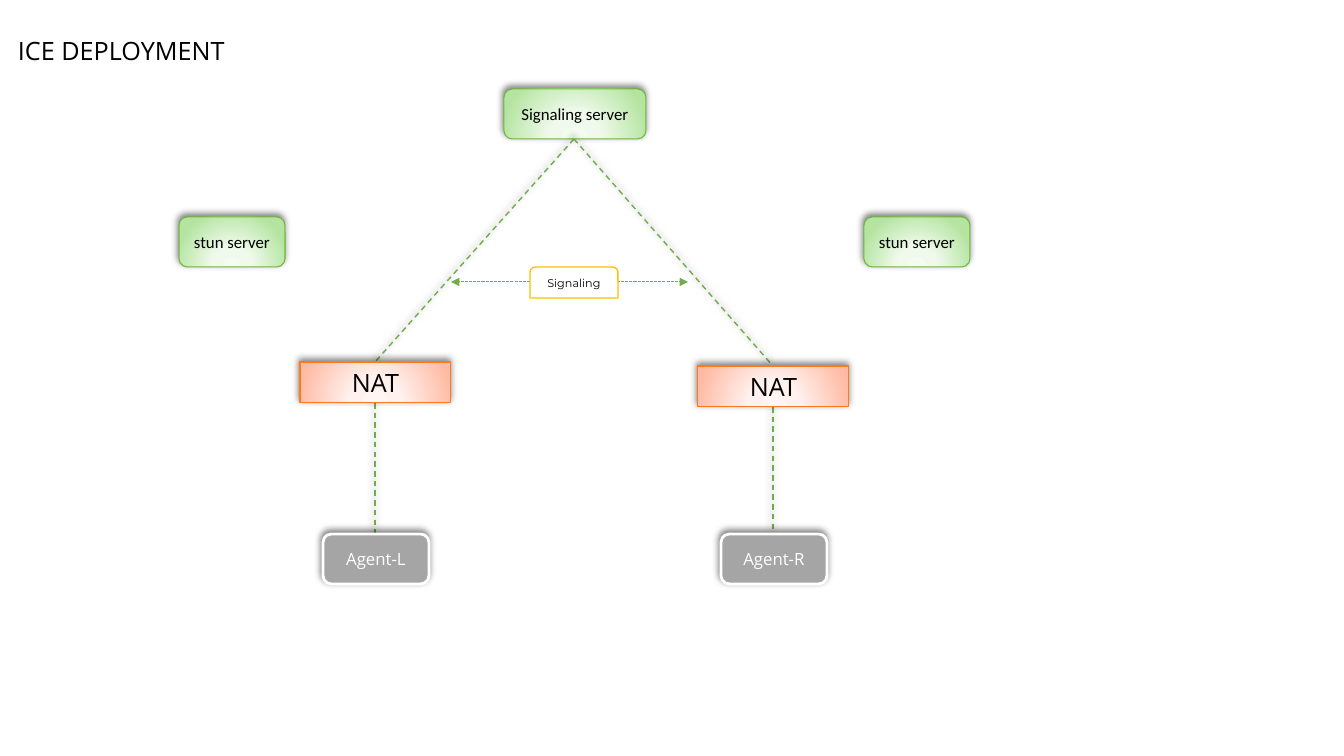
from lxml import etree
from pptx import Presentation
from pptx.dml.color import RGBColor
from pptx.enum.dml import MSO_LINE
from pptx.enum.shapes import MSO_CONNECTOR, MSO_SHAPE
from pptx.enum.text import MSO_ANCHOR, MSO_AUTO_SIZE, PP_ALIGN
from pptx.oxml import parse_xml
from pptx.oxml.ns import nsdecls, qn
from pptx.util import Pt

EMU_PER_PX = 914400 / 100.8

BLACK = RGBColor(0x00, 0x00, 0x00)
WHITE = RGBColor(0xFF, 0xFF, 0xFF)
GRAY = RGBColor(0xA5, 0xA5, 0xA5)
AMBER = RGBColor(0xFF, 0xC0, 0x00)
LINK_GREEN = RGBColor(0x70, 0xAD, 0x47)
SERVER_EDGE = RGBColor(0x6E, 0xB7, 0x3D)
NAT_EDGE = RGBColor(0xFF, 0x7A, 0x1F)
SERVER_GLOW = (RGBColor(0xF3, 0xFC, 0xF0), RGBColor(0xF0, 0xFA, 0xEC), RGBColor(0xB4, 0xE4, 0xA0))
NAT_GLOW = (RGBColor(0xFF, 0xF5, 0xF2), RGBColor(0xFF, 0xF1, 0xED), RGBColor(0xFF, 0xBA, 0xA3))


def px(value):
    return round(value * EMU_PER_PX)


class Diagram:
    """Holds the current slide and the shared styling."""

    body_font = "Open Sans"

    def __init__(self, prs):
        self.slide = prs.slides.add_slide(prs.slide_layouts[6])

    def add_label(self, frame, text, size, color, font):
        run = frame.paragraphs[0].add_run()
        run.text = text
        run.font.size = Pt(size)
        run.font.name = font or self.body_font
        run.font.color.rgb = color

    def effects(self, properties, shadow):
        """Replace the theme shadow with a soft one, or with none."""
        effects = properties.find(qn("a:effectLst"))
        if effects is None:
            effects = etree.SubElement(properties, qn("a:effectLst"))
        if shadow:
            effects.append(parse_xml(
                f'<a:outerShdw {nsdecls("a")} blurRad="{Pt(5)}" dist="{Pt(2)}" dir="14700000" '
                'algn="ctr" rotWithShape="0"><a:srgbClr val="000000">'
                '<a:alpha val="50000"/></a:srgbClr></a:outerShdw>'))

    def glow(self, shape, colors):
        """Radial gradient centred below the shape."""
        stops = "".join(f'<a:gs pos="{pos}"><a:srgbClr val="{color}"/></a:gs>'
                        for pos, color in zip((0, 34000, 100000), colors))
        geometry = shape._element.spPr.find(qn("a:prstGeom"))
        geometry.addnext(parse_xml(
            f'<a:gradFill {nsdecls("a")} rotWithShape="1"><a:gsLst>{stops}</a:gsLst>'
            '<a:path path="circle"><a:fillToRect l="50000" t="155000" r="50000" b="-55000"/>'
            '</a:path></a:gradFill>'))

    def title(self, x, y, w, h, text):
        frame = self.slide.shapes.add_textbox(px(x), px(y), px(w), px(h)).text_frame
        frame.word_wrap = False
        frame.auto_size = MSO_AUTO_SIZE.SHAPE_TO_FIT_TEXT
        self.add_label(frame, text, 18, BLACK, None)

    def box(self, kind, x, y, w, h, text, size, fill, edge, edge_width=0.75,
            color=BLACK, font=None, shadow=True):
        shape = self.slide.shapes.add_shape(kind, px(x), px(y), px(w), px(h))
        if isinstance(fill, RGBColor):
            shape.fill.solid()
            shape.fill.fore_color.rgb = fill
        else:
            self.glow(shape, fill)
        shape.line.color.rgb = edge
        shape.line.width = Pt(edge_width)
        shape.shadow.inherit = False
        self.effects(shape._element.spPr, shadow)
        frame = shape.text_frame
        frame.word_wrap = True
        frame.vertical_anchor = MSO_ANCHOR.MIDDLE
        frame.paragraphs[0].alignment = PP_ALIGN.CENTER
        self.add_label(frame, text, size, color, font)

    def link(self, start, end, arrow=False):
        line = self.slide.shapes.add_connector(
            MSO_CONNECTOR.STRAIGHT, *(px(v) for v in (*start, *end)))
        line.line.color.rgb = LINK_GREEN
        line.line.width = Pt(0.75 if arrow else 1)
        line.line.dash_style = MSO_LINE.SQUARE_DOT if arrow else MSO_LINE.DASH
        properties = line._element.spPr
        if arrow:
            etree.SubElement(properties.find(qn("a:ln")), qn("a:tailEnd"), type="triangle")
        self.effects(properties, shadow=not arrow)


prs = Presentation()
prs.slide_width, prs.slide_height = px(1344), px(756)
diagram = Diagram(prs)
diagram.title(8, 30, 279, 40, "ICE DEPLOYMENT")

# Servers
for x, y, w, name in ((504, 89, 142, "Signaling server"),
                      (179, 217, 106, "stun server"),
                      (864, 217, 106, "stun server")):
    diagram.box(MSO_SHAPE.ROUNDED_RECTANGLE, x, y, w, 50, name, 12,
                SERVER_GLOW, SERVER_EDGE, font="Calibri")

# Each side: signaling server to NAT to agent
NAT_W, NAT_H, AGENT_W, AGENT_Y = 151, 41, 106, 534
sides = ((375, 362, "Agent-L"), (773, 366, "Agent-R"))
for center, nat_y, agent in sides:
    diagram.link((574, 139), (center, nat_y))
    diagram.link((center, nat_y + NAT_H), (center, AGENT_Y))
for center, nat_y, agent in sides:
    diagram.box(MSO_SHAPE.ROUNDED_RECTANGLE, center + 1 - AGENT_W // 2, AGENT_Y, AGENT_W, 50,
                agent, 12, GRAY, WHITE, edge_width=2, color=WHITE)
    diagram.box(MSO_SHAPE.RECTANGLE, center - NAT_W // 2, nat_y, NAT_W, NAT_H,
                "NAT", 18, NAT_GLOW, NAT_EDGE)

# Signaling path between the two sides
for start, end in ((617, 688), (530, 451)):
    diagram.link((start, 282), (end, 282), arrow=True)
diagram.box(MSO_SHAPE.ROUND_2_SAME_RECTANGLE, 530, 267, 88, 31, "Signaling", 8,
            WHITE, AMBER, edge_width=1, font="Montserrat", shadow=False)

prs.save("out.pptx")
